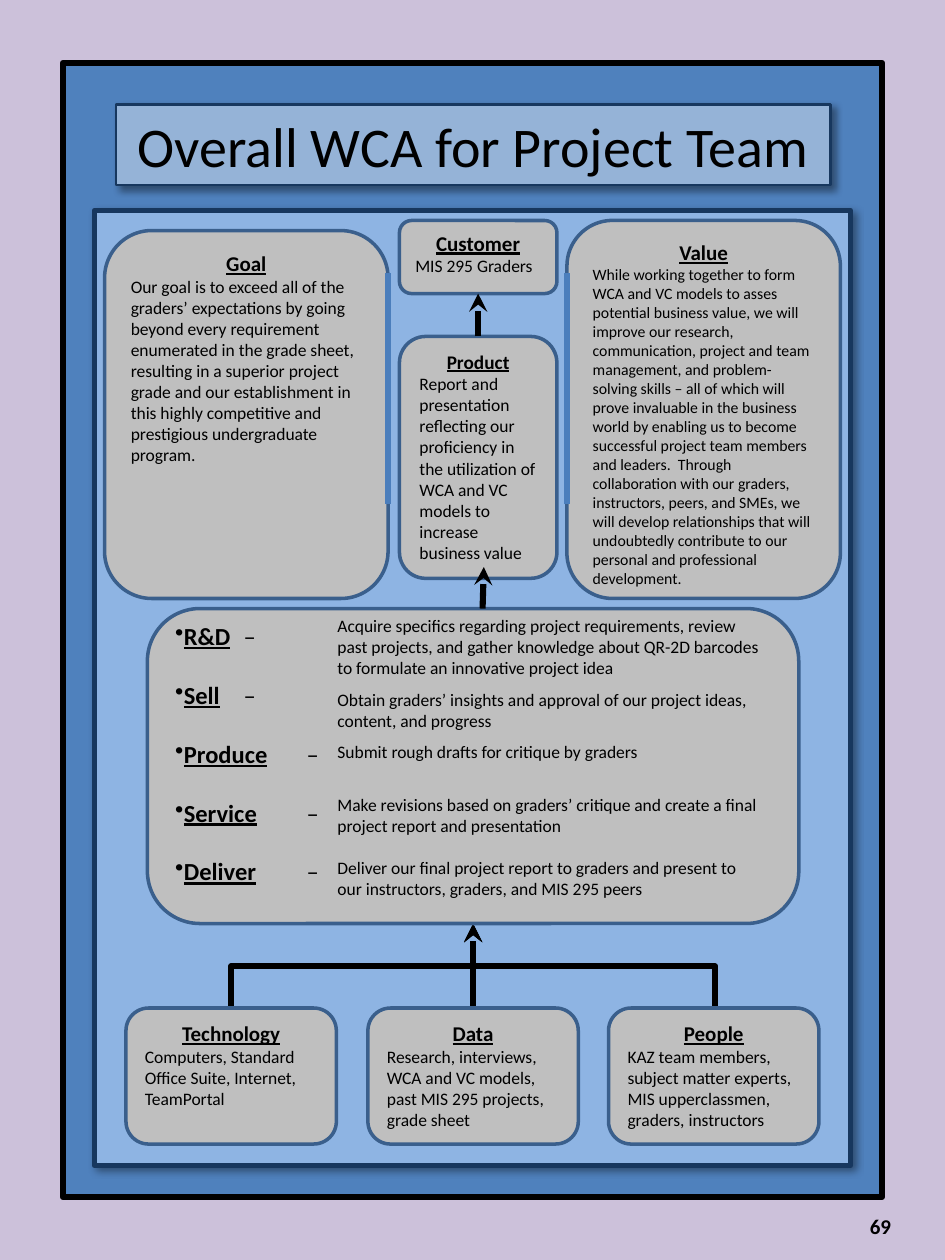
import pptx
import pptx.util
import pptx.dml.color
import pptx.enum.shapes
import pptx.enum.text
import pptx.oxml

Inches, Pt = pptx.util.Inches, pptx.util.Pt
RGB = pptx.dml.color.RGBColor.from_string
KIND = pptx.enum.shapes.MSO_SHAPE
LINK = pptx.enum.shapes.MSO_CONNECTOR
ALIGN = pptx.enum.text.PP_ALIGN
ANCHOR = pptx.enum.text.MSO_ANCHOR
NS = 'xmlns:a="http://schemas.openxmlformats.org/drawingml/2006/main"'
SHADOW = (f'<a:effectLst {NS}><a:outerShdw blurRad="50800" dist="38100" dir="2700000">'
          '<a:srgbClr val="000000"><a:alpha val="40000"/></a:srgbClr>'
          '</a:outerShdw></a:effectLst>')


def block(kind, at, fill, edge, width, raised=False):
    shape = slide.shapes.add_shape(kind, *[Inches(n) for n in at])
    shape.fill.solid()
    shape.fill.fore_color.rgb = RGB(fill)
    shape.line.color.rgb = RGB(edge)
    shape.line.width = Pt(width)
    if raised:
        shape._element.spPr.append(pptx.oxml.parse_xml(SHADOW))
    else:
        shape.shadow.inherit = False
    return shape


def style(run, size, bold=False, line=False):
    run.font.name = "Calibri"
    run.font.size = Pt(size)
    run.font.bold = bold
    run.font.underline = line
    run.font.color.rgb = RGB("000000")


deck = pptx.Presentation()
deck.slide_width, deck.slide_height = Inches(7.5), Inches(10)
slide = deck.slides.add_slide(deck.slide_layouts[6])
slide.background.fill.solid()
slide.background.fill.fore_color.rgb = RGB("CCC1DA")

# Outer frame and inner panel
block(KIND.RECTANGLE, (0.5, 0.5, 6.5, 9), "4F81BD", "000000", 3.75)
block(KIND.RECTANGLE, (0.75, 1.67, 6, 7.58), "8EB4E3", "17375E", 3, True)

# Links: kind, start x, y, end x, y, colour, width, arrow, turn in degrees
links = [
    (LINK.ELBOW, 3.13, 8.63, 2.46, 6.71, "000000", 3.5, True, 90),
    (LINK.STRAIGHT, 3.75, 8, 3.75, 7.33, "000000", 3.5, True, 0),
    (LINK.ELBOW, 4.38, 8.63, 5.05, 6.71, "000000", 3.5, True, 270),
    (LINK.STRAIGHT, 3.08, 2.17, 3.08, 4, "4B7EBC", 3, False, 0),
    (LINK.STRAIGHT, 4.5, 4, 4.5, 2.17, "4B7EBC", 3, False, 0),
    (LINK.STRAIGHT, 3.79, 2.67, 3.79, 2.33, "000000", 3.5, True, 0),
    (LINK.STRAIGHT, 3.83, 4.83, 3.84, 4.5, "000000", 3.5, True, 0),
]

# Rounded boxes: head, head size, body, body size, place
boxes = [
    ("Customer", 12, "MIS 295 Graders", 10, (3.17, 1.75, 1.25, 0.58)),
    ("Product", 11, "Report and presentation reflecting our proficiency in the "
     "utilization of WCA and VC models to increase business value", 10,
     (3.17, 2.67, 1.25, 1.92)),
    ("Technology", 12, "Computers, Standard Office Suite, Internet, TeamPortal",
     10, (1, 8, 1.67, 1.08)),
    ("Data", 12, "Research, interviews, WCA and VC models, past MIS 295 projects, "
     "grade sheet", 10, (2.92, 8, 1.67, 1.08)),
    ("People", 12, "KAZ team members, subject matter experts, MIS upperclassmen, "
     "graders, instructors", 10, (4.83, 8, 1.67, 1.08)),
    ("Goal", 12, "Our goal is to exceed all of the graders’ expectations by going "
     "beyond every requirement enumerated in the grade sheet, resulting in a "
     "superior project grade and our establishment in this highly competitive and "
     "prestigious undergraduate program.", 10, (0.83, 1.83, 2.25, 2.92)),
    ("Value", 12, "While working together to form WCA and VC models to asses "
     "potential business value, we will improve our research, communication, "
     "project and team management, and problem-solving skills – all of which will "
     "prove invaluable in the business world by enabling us to become successful "
     "project team members and leaders.  Through collaboration with our graders, "
     "instructors, peers, and SMEs, we will develop relationships that will "
     "undoubtedly contribute to our personal and professional development.", 9,
     (4.5, 1.75, 2.17, 3)),
]

# Steps: name, top of note, height of note, note
steps = [
    ("R&D", 4.83, 0.61, "Acquire specifics regarding project requirements, review "
     "past projects, and gather knowledge about QR-2D barcodes to formulate an "
     "innovative project idea"),
    ("Sell", 5.42, 0.44, "Obtain graders’ insights and approval of our project "
     "ideas, content, and progress"),
    ("Produce", 5.83, 0.27, "Submit rough drafts for critique by graders"),
    ("Service", 6.25, 0.44, "Make revisions based on graders’ critique and create "
     "a final project report and presentation"),
    ("Deliver", 6.75, 0.44, "Deliver our final project report to graders and "
     "present to our instructors, graders, and MIS 295 peers"),
]

# Title
title = block(KIND.RECTANGLE, (0.92, 0.83, 5.67, 0.64), "95B3D7", "17375E", 1.5, True)
title.text_frame.text = "Overall WCA for Project Team"
title.text_frame.paragraphs[0].alignment = ALIGN.CENTER
style(title.text_frame.paragraphs[0].runs[0], 32)

# Box of steps
main = block(KIND.ROUNDED_RECTANGLE, (1.17, 4.83, 5.17, 2.5), "BFBFBF", "3A5F8C", 2)
frame = main.text_frame
frame.vertical_anchor = ANCHOR.MIDDLE
frame.margin_top, frame.margin_bottom = 0, Inches(0.2)
for i, (name, *_) in enumerate(steps):
    para = frame.paragraphs[0] if i == 0 else frame.add_paragraph()
    para.alignment = ALIGN.LEFT
    if i:
        para.space_before = Pt(16.8)
    props = para._p.get_or_add_pPr()
    props.append(pptx.oxml.parse_xml(f'<a:buChar {NS} char="•"/>'))
    for text, bold in ((name, True), ("\t –", False)):
        run = para.add_run()
        run.text = text
        style(run, 14, bold, bold)

# Boxes with a head and a body
cards = {}
for head, big, body, small, at in boxes:
    card = block(KIND.ROUNDED_RECTANGLE, at, "BFBFBF", "3A5F8C", 2)
    cards[head] = card
    frame = card.text_frame
    frame.vertical_anchor = ANCHOR.TOP
    frame.text = f"{head}\n{body}"
    top, rest = frame.paragraphs
    top.alignment, rest.alignment = ALIGN.CENTER, ALIGN.LEFT
    style(top.runs[0], big, True, True)
    style(rest.runs[0], small)

# Lines and arrows
lines = []
for kind, x1, y1, x2, y2, color, width, arrow, turn in links:
    line = slide.shapes.add_connector(kind, *[Inches(n) for n in (x1, y1, x2, y2)])
    line.line.color.rgb = RGB(color)
    line.line.width = Pt(width)
    props = line._element.spPr
    if arrow:
        props.ln.append(pptx.oxml.parse_xml(f'<a:tailEnd {NS} type="stealth"/>'))
    if turn:
        props.xfrm.set("rot", str(turn * 60000))
    props.append(pptx.oxml.parse_xml(f'<a:effectLst {NS}/>'))
    lines.append(line)
lines[1].begin_connect(cards["Data"], 0)
lines[1].end_connect(main, 2)
lines[5].begin_connect(cards["Product"], 0)
lines[5].end_connect(cards["Customer"], 2)

# The three lower links lie behind the boxes
for line in lines[:3]:
    title._element.addprevious(line._element)

# Notes beside the steps, and the page number
notes = [((2.58, y, 3.58, h), text, 10, False) for _, y, h, text in steps]
notes.append(((5.42, 9.47, 1.75, 0.53), "69", 12, True))
for at, text, size, bold in notes:
    frame = slide.shapes.add_textbox(*[Inches(n) for n in at]).text_frame
    frame.word_wrap = True
    frame.text = text
    style(frame.paragraphs[0].runs[0], size, bold)
frame.vertical_anchor = ANCHOR.MIDDLE
frame.paragraphs[0].alignment = ALIGN.RIGHT

deck.save("out.pptx")
